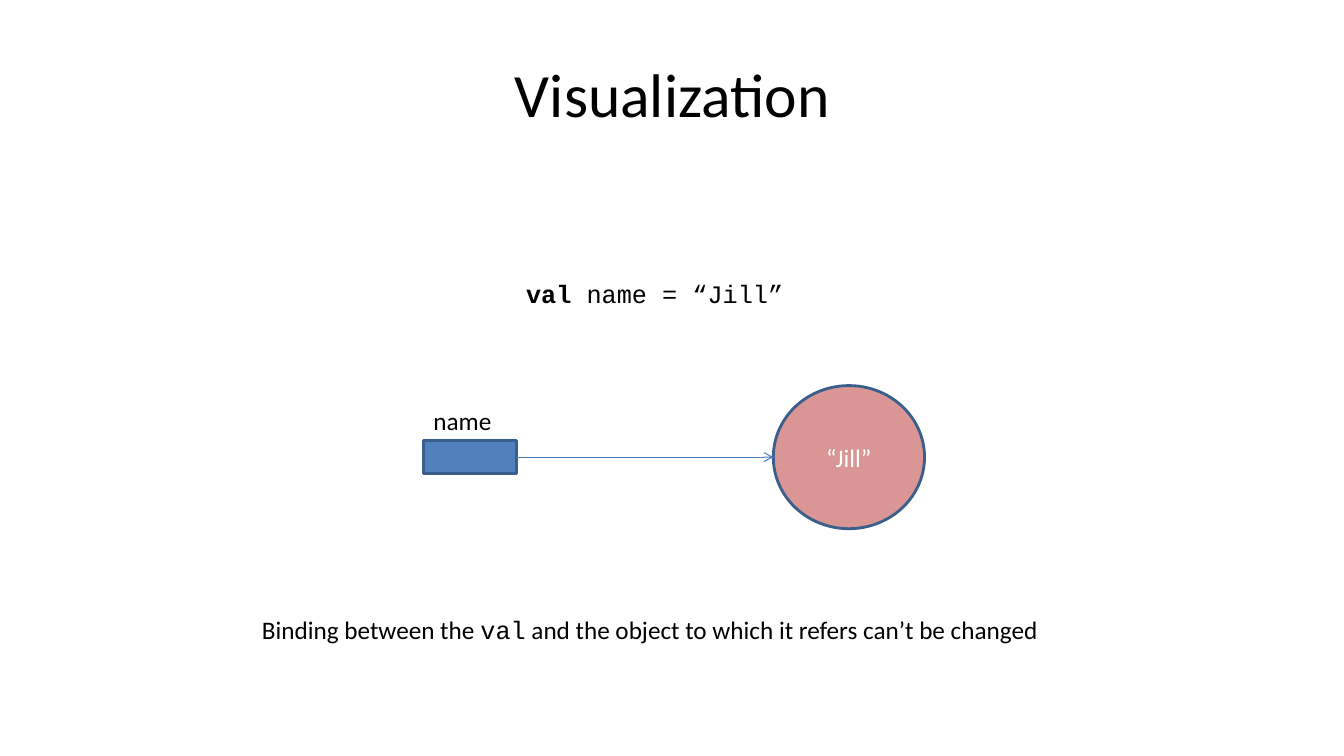
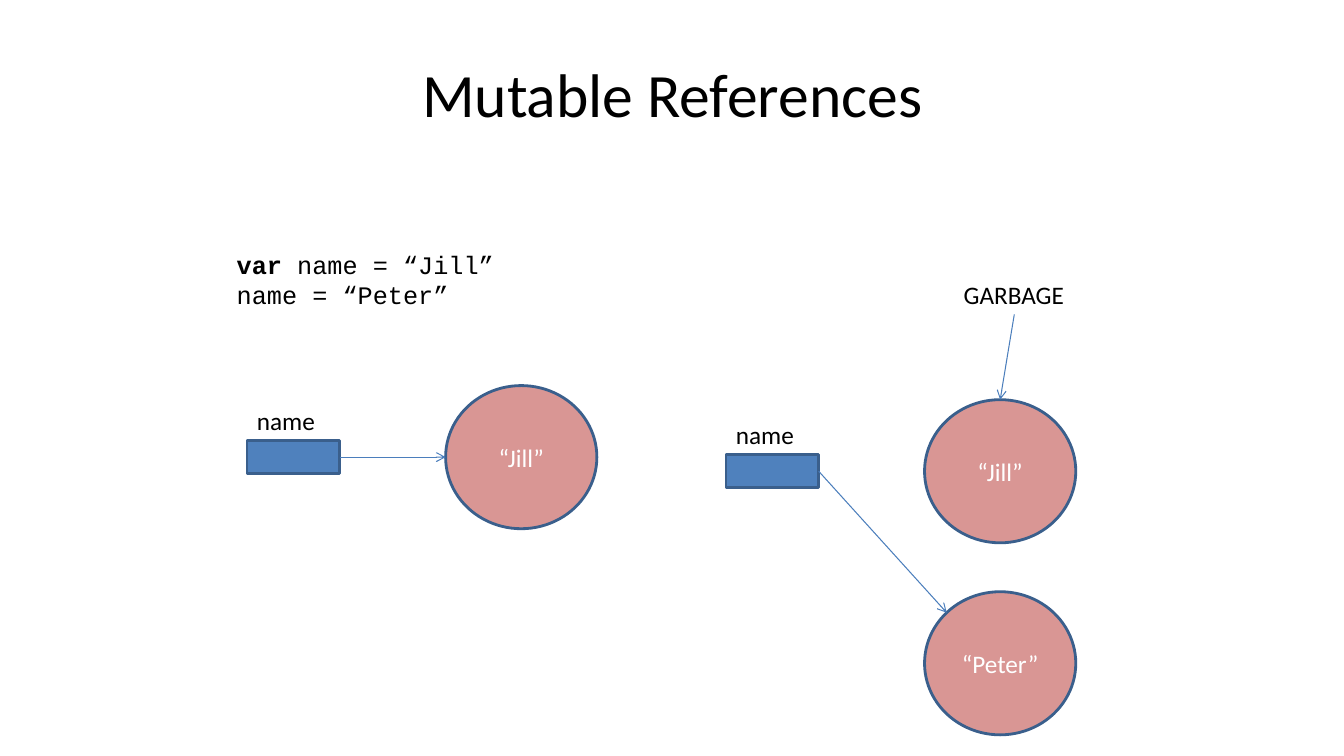
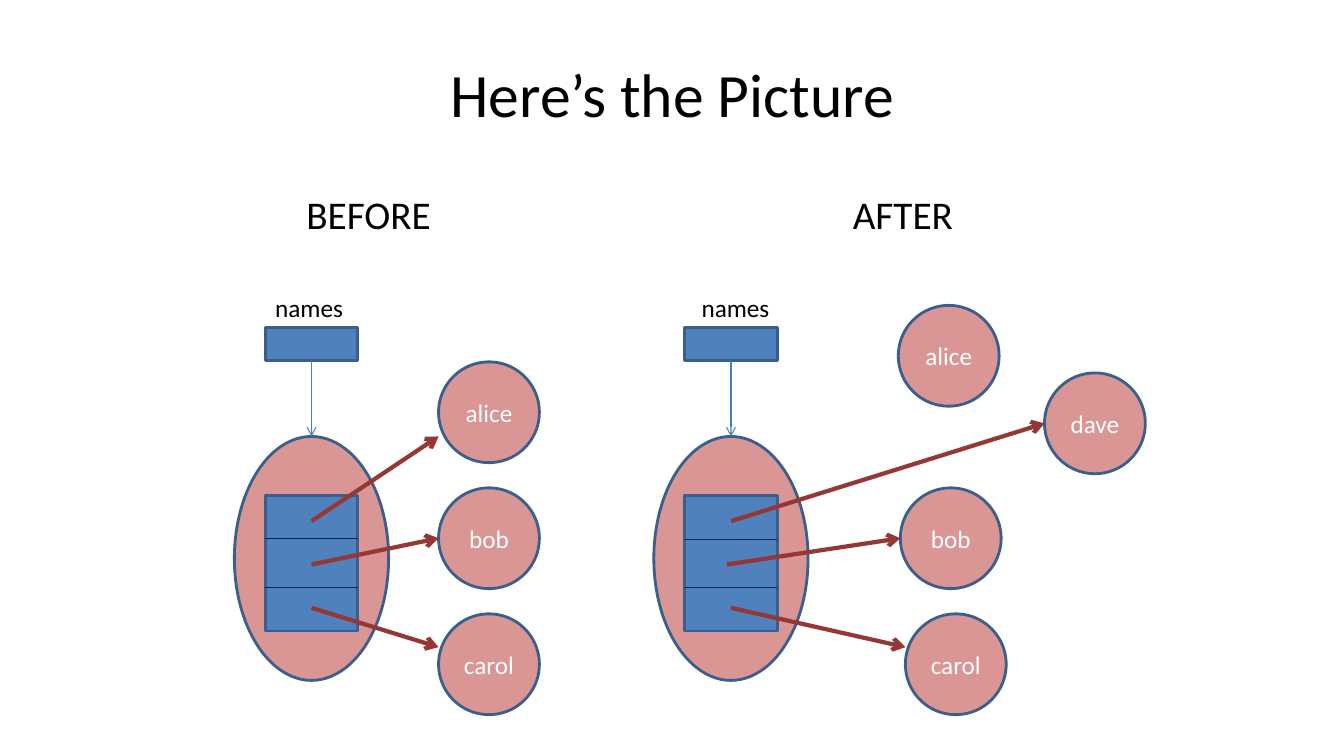
from lxml.etree import SubElement
from pptx import Presentation
from pptx.dml.color import RGBColor as RGB
from pptx.enum.shapes import MSO_CONNECTOR as Conn, MSO_SHAPE as Kind
from pptx.enum.text import MSO_ANCHOR as Anchor, MSO_AUTO_SIZE as Fit, PP_ALIGN as Align
from pptx.oxml.ns import qn
from pptx.util import Inches as In, Pt

# Shared look
HUE = {"ink": "000000", "pale": "FFFFFF", "box": "4F81BD", "ball": "D99694",
       "edge": "3A5F8C", "ref": "4B7EBC", "rule": "002060", "link": "953735"}
SANS, MONO = "Calibri", "Courier New"
TITLE = (0.67, 0.3, 12, 1.25)
CELL = (0.92, 0.33)
BALL = (1.5, 1.42)
DISC = (1, 1)
OVAL = (1.53, 2.42)
STACK = (0.92, 1.34)
LABEL = 0.4

# Content: a run is (text, font, bold)
VAL = [[("val", MONO, True), (" name = “Jill”", MONO, False)]]
VAR = [[("var", MONO, True), (" name = “Jill”", MONO, False)],
       [("name = “Peter”", MONO, False)]]
NOTE = [[("Binding between the ", SANS, False), ("val", MONO, False),
         (" and the object to which it refers can’t be changed", SANS, False)]]

# Heading and its place, left of the cell, left of its label, rule heights,
# discs (name, left, top), links (disc, tail x in the cell, head y in the disc)
PANELS = [
    dict(head="BEFORE", at=(2.94, 1.84, 1.45, 0.57), left=2.63, name=2.63,
         rules=(5.34, 5.83),
         discs=[("alice", 4.35, 3.59), ("bob", 4.35, 4.84), ("carol", 4.35, 6.09)],
         links=[("alice", 0.46, 0.74), ("bob", 0.46, 0.5), ("carol", 0.46, 0.33)]),
    dict(head="AFTER", at=(8.36, 1.84, 1.21, 0.57), left=6.79, name=6.86,
         rules=(5.35, 5.83),
         discs=[("alice", 8.91, 3.03), ("dave", 10.36, 3.7),
                ("bob", 8.93, 4.84), ("carol", 8.98, 6.09)],
         links=[("dave", 0.46, 0.5), ("bob", 0.42, 0.5), ("carol", 0.46, 0.33)]),
]


def tint(name):
    return RGB.from_string(HUE[name])


def style(font, size, hue, face=SANS):
    font.name, font.size, font.color.rgb = face, Pt(size), tint(hue)


def page(deck, text):
    """Add a slide with its title."""
    slide = deck.slides.add_slide(deck.slide_layouts[5])
    title = slide.shapes.title
    title.left, title.top, title.width, title.height = map(In, TITLE)
    frame = title.text_frame
    frame.text, frame.vertical_anchor = text, Anchor.MIDDLE
    para = frame.paragraphs[0]
    para.alignment = Align.CENTER
    style(para.font, 44, "ink")
    return slide


def write(slide, lines, at, size=18):
    """Add a text box; lines is plain text or lists of runs."""
    if isinstance(lines, str):
        lines = [[(lines, SANS, False)]]
    frame = slide.shapes.add_textbox(*map(In, at)).text_frame
    frame.word_wrap, frame.auto_size = False, Fit.SHAPE_TO_FIT_TEXT
    for i, runs in enumerate(lines):
        para = frame.add_paragraph() if i else frame.paragraphs[0]
        for text, face, bold in runs:
            run = para.add_run()
            run.text, run.font.bold = text, bold
            style(run.font, size, "ink", face)


def draw(slide, kind, fill, spot, size, text=""):
    """Add an outlined shape and return its place."""
    shape = slide.shapes.add_shape(kind, *map(In, spot + size))
    shape.shadow.inherit = False
    shape.fill.solid()
    shape.fill.fore_color.rgb = tint(fill)
    shape.line.color.rgb, shape.line.width = tint("edge"), Pt(2)
    if text:
        frame = shape.text_frame
        frame.text, frame.vertical_anchor = text, Anchor.MIDDLE
        frame.word_wrap = False
        para = frame.paragraphs[0]
        para.alignment = Align.CENTER
        style(para.font, 18, "pale")
    return spot + size


def cell(slide, left, top, text, width, start=None):
    """Add a variable: a box with its name above."""
    write(slide, text, (left if start is None else start, top - LABEL, width, LABEL))
    return draw(slide, Kind.RECTANGLE, "box", (left, top), CELL)


def ball(slide, left, top, text, size=BALL):
    return draw(slide, Kind.OVAL, "ball", (left, top), size, text)


def point(at, across, down):
    """Point at shares of a place's width and height."""
    left, top, width, height = at
    return left + across * width, top + down * height


def join(slide, start, end, hue="ref", width=0.75, arrow=True):
    line = slide.shapes.add_connector(Conn.STRAIGHT, *map(In, start + end))
    line.line.color.rgb, line.line.width = tint(hue), Pt(width)
    if arrow:
        SubElement(line.line._get_or_add_ln(), qn("a:tailEnd"), type="arrow")
    SubElement(line._element.spPr, qn("a:effectLst"))


def pair(slide, left, top, gap):
    """Add a variable and the “Jill” ball, centred on one line."""
    box = cell(slide, left, top, "name", 0.78)
    mid = top + CELL[1] / 2
    jill = ball(slide, left + CELL[0] + gap, mid - BALL[1] / 2, "“Jill”")
    return box, jill


def panel(slide, head, at, left, name, rules, discs, links):
    """Add a list and the objects it refers to."""
    write(slide, head, at, 28)
    box = cell(slide, left, 3.25, "names", 0.88, name)
    oval = ball(slide, left + (CELL[0] - OVAL[0]) / 2, 4.33, "", OVAL)
    places = {text: ball(slide, x, y, text, DISC) for text, x, y in discs}
    draw(slide, Kind.RECTANGLE, "box", (left, 4.92), STACK)
    for y in rules:
        join(slide, (left, y), (left + STACK[0], y), "rule", arrow=False)
    join(slide, point(box, 0.5, 1), point(oval, 0.5, 0))
    for row, (text, tail, down) in enumerate(links):
        join(slide, (left + tail, 5.17 + 0.43 * row),
             point(places[text], 0, down), "link", 3)


def main():
    deck = Presentation()
    deck.slide_width, deck.slide_height = In(13.33), In(7.5)

    # Fixed binding
    slide = page(deck, "Visualization")
    write(slide, VAL, (5.12, 2.71, 2.76, 0.4))
    box, jill = pair(slide, 4.2, 4.37, 2.55)
    join(slide, point(box, 1, 0.5), point(jill, 0, 0.5))
    write(slide, NOTE, (2.5, 6.05, 7.99, 0.4))

    # Changed binding
    slide = page(deck, "Mutable References")
    write(slide, VAR, (2.25, 2.42, 2.76, 0.71))
    box, jill = pair(slide, 2.45, 4.37, 1.05)
    join(slide, point(box, 1, 0.5), point(jill, 0, 0.5))
    box, jill = pair(slide, 7.2, 4.51, 1.05)
    peter = ball(slide, jill[0], 5.87, "“Peter”")
    slant = (1 - 0.5 ** 0.5) / 2
    join(slide, point(box, 1, 0.5), point(peter, slant, slant))
    waste = (9.46, 2.72, 1.2, LABEL)
    write(slide, "GARBAGE", waste)
    join(slide, point(waste, 0.5, 1), point(jill, 0.5, 0))

    # List before and after
    slide = page(deck, "Here’s the Picture")
    for item in PANELS:
        panel(slide, **item)

    deck.save("out.pptx")


if __name__ == "__main__":
    main()
